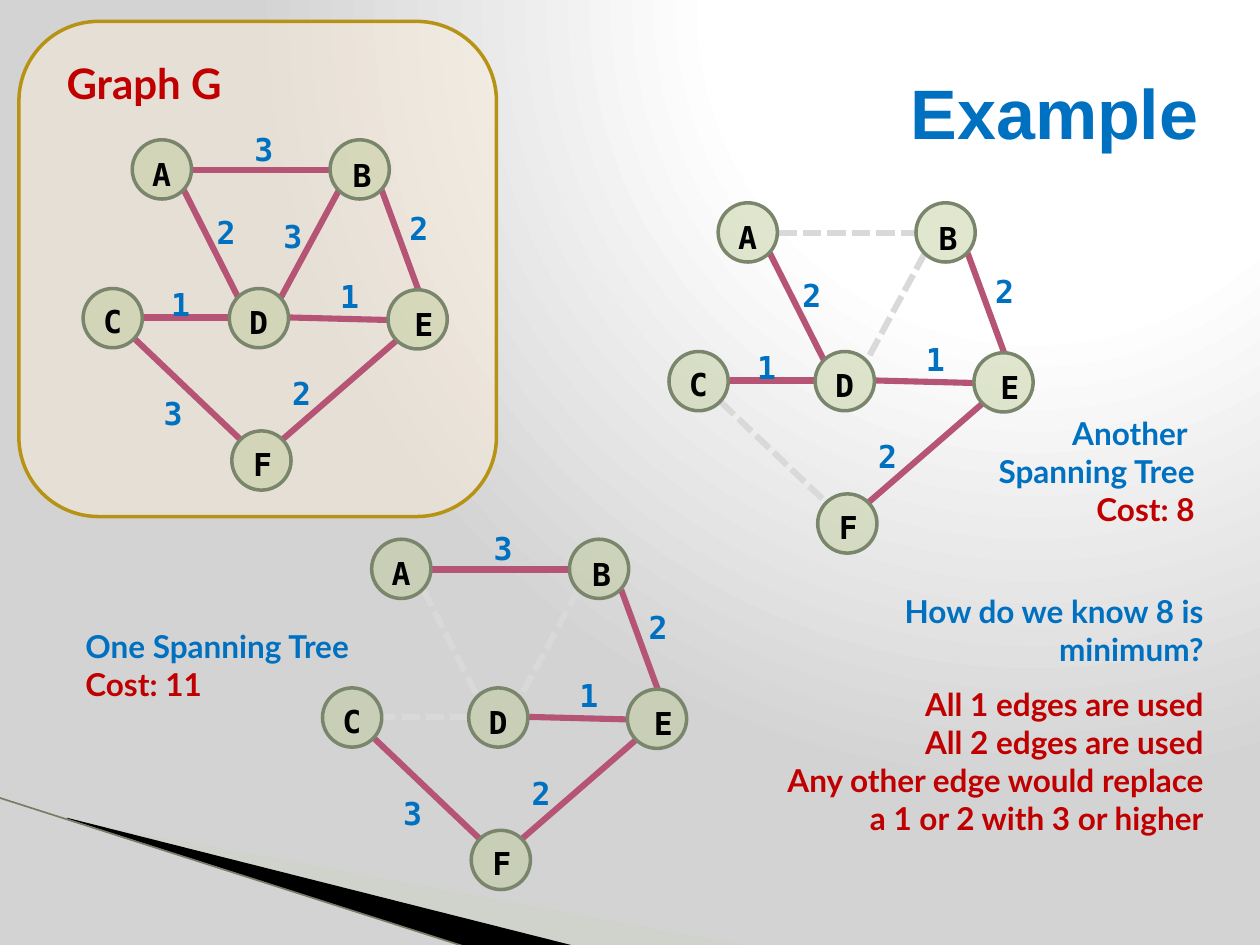
from lxml import etree
from pptx import Presentation
from pptx import util as u
from pptx.dml.color import RGBColor
from pptx.enum import dml, shapes, text
from pptx.oxml.ns import qn

BLUE, RED, BLACK = "0070C0", "C00000", "000000"
EDGE, UNUSED = "B55475", "D9D9D9"
MONO, SANS = "DejaVu Sans Mono", "Lato"
RIGHT = text.PP_ALIGN.RIGHT
NODE_SIZE = 0.47

# All graph positions are relative to the corner of node A.
# name: (node x, y, letter x, y, letter box width)
NODES = {
    "A": (0, 0, 0.06, 0.07, 0.41),
    "B": (1.57, 0, 1.65, 0.08, 0.41),
    "C": (-0.39, 1.18, -0.33, 1.24, 0.44),
    "D": (0.77, 1.18, 0.83, 1.25, 0.27),
    "E": (2.03, 1.19, 2.14, 1.26, 0.28),
    "F": (0.79, 2.31, 0.86, 2.37, 0.41),
}
# name: (x1, y1, x2, y2, weight, weight x, y)
EDGES = {
    "EF": (2.1, 1.59, 1.19, 2.38, 2, 1.17, 1.81),
    "CD": (0.77, 1.41, 0.09, 1.41, 1, 0.21, 1.1),
    "BD": (1.64, 0.4, 1.18, 1.25, 3, 1.1, 0.56),
    "AD": (0.41, 0.4, 0.84, 1.25, 2, 0.57, 0.53),
    "AB": (0.48, 0.24, 1.57, 0.24, 3, 0.87, -0.13),
    "BE": (1.98, 0.4, 2.27, 1.19, 2, 2.1, 0.5),
    "DE": (2.04, 1.43, 1.25, 1.41, 1, 1.55, 1.04),
    "CF": (0.02, 1.58, 0.86, 2.38, 3, 0.15, 1.97),
}


def rgb(color):
    return RGBColor.from_string(color)


def inches(*values):
    return [u.Inches(v) for v in values]


def fill_shape(sp, color, alpha=None):
    sp.shadow.inherit = False
    sp.fill.solid()
    sp.fill.fore_color.rgb = rgb(color)
    if alpha is not None:
        clr = sp.element.spPr.find(qn("a:solidFill"))[0]
        etree.SubElement(clr, qn("a:alpha")).set("val", str(alpha * 1000))


def add_preset(parent, kind, box, color, alpha, line):
    sp = parent.add_shape(kind, *inches(*box))
    fill_shape(sp, color, alpha)
    sp.line.color.rgb = rgb(line)
    sp.line.width = u.Pt(2)


def add_line(parent, ends, color, width=3.5, dashed=False):
    ln = parent.add_connector(shapes.MSO_CONNECTOR.STRAIGHT, *inches(*ends))
    ln.line.color.rgb = rgb(color)
    ln.line.width = u.Pt(width)
    if dashed:
        ln.line.dash_style = dml.MSO_LINE.SQUARE_DOT
    etree.SubElement(ln.element.spPr, qn("a:effectLst"))


def add_outline(parent, points, color, alpha=None):
    start, *rest = [inches(*pt) for pt in points]
    fb = parent.build_freeform(*start)
    fb.add_line_segments(rest)
    sp = fb.convert_to_shape()
    fill_shape(sp, color, alpha)
    sp.line.fill.background()


def format_run(r, color, size=18, font=SANS):
    r.font.name = font
    r.font.size = u.Pt(size)
    r.font.bold = True
    r.font.color.rgb = rgb(color)


def add_text(parent, box, lines, size=18, font=SANS, align=None, after=None):
    """Add a text box; lines holds (text, colour) pairs, one a paragraph."""
    tf = parent.add_textbox(*inches(*box)).text_frame
    tf.word_wrap = True
    tf.auto_size = text.MSO_AUTO_SIZE.SHAPE_TO_FIT_TEXT
    for i, (words, color) in enumerate(lines):
        p = tf.add_paragraph() if i else tf.paragraphs[0]
        p.alignment = align
        if after is not None:
            p.space_after = u.Pt(after)
        r = p.add_run()
        r.text = words
        format_run(r, color, size, font)


def add_symbol(parent, x, y, symbol, color, width=0.41):
    add_text(parent, (x, y, width, 0.4), [(symbol, color)], font=MONO, after=6)


def add_graph(parent, x, y, used):
    """Draw the graph with node A at x, y; edges not in used are dashed."""
    for name, (x1, y1, x2, y2, *_) in EDGES.items():
        kept = name in used
        add_line(parent, (x + x1, y + y1, x + x2, y + y2),
                 EDGE if kept else UNUSED, dashed=not kept)
    for name, (nx, ny, lx, ly, width) in NODES.items():
        add_preset(parent, shapes.MSO_SHAPE.OVAL,
                   (x + nx, y + ny, NODE_SIZE, NODE_SIZE), "BECB95", 45, "7A866C")
        add_symbol(parent, x + lx, y + ly, name, BLACK, width)
    for name in used:
        *_, weight, wx, wy = EDGES[name]
        add_symbol(parent, x + wx, y + wy, str(weight), BLUE)


def set_background(s):
    s.background.fill.gradient()
    grad = s.element.find(".//" + qn("a:gradFill"))
    for child in list(grad):
        grad.remove(child)
    stops = etree.SubElement(grad, qn("a:gsLst"))
    for pos, color in ((0, "FFFFFF"), (40, "FFFFFF"), (100, "D3D3D3")):
        gs = etree.SubElement(stops, qn("a:gs"), pos=str(pos * 1000))
        etree.SubElement(gs, qn("a:srgbClr"), val=color)
    circle = etree.SubElement(grad, qn("a:path"), path="circle")
    etree.SubElement(circle, qn("a:fillToRect"), l="65000", t="0", r="0", b="98000")


def add_swoosh(parent):
    add_outline(parent, [(0.55, 6.51), (5.95, 7.51), (4.56, 7.51), (0.55, 6.5)],
                "CBD4C0", 40)
    add_outline(parent, [(0.53, 6.49), (4.57, 7.51), (3.72, 7.52), (0.54, 6.5)], BLACK)
    add_line(parent, (-0.01, 6.33, 3.71, 7.52), "7A7A66", 0.95)


def set_title(s, words):
    sp = s.shapes.title
    sp.left, sp.top, sp.width, sp.height = inches(0.61, 0.26, 9, 1.25)
    tf = sp.text_frame
    tf.vertical_anchor = text.MSO_ANCHOR.MIDDLE
    p = tf.paragraphs[0]
    p.alignment = RIGHT
    r = p.add_run()
    r.text = words
    format_run(r, BLUE, 40, "Arial")


def main():
    prs = Presentation()
    prs.slide_width, prs.slide_height = inches(10, 7.5)
    s = prs.slides.add_slide(prs.slide_layouts[5])
    set_background(s)
    add_swoosh(s.shapes)
    set_title(s, "Example")

    add_graph(s.shapes.add_group_shape().shapes, 2.95, 4.28,
              ("AB", "EF", "DE", "BE", "CF"))
    add_text(s.shapes, (0.58, 4.93, 2.77, 0.71),
             [("One Spanning Tree", BLUE), ("Cost: 11", RED)])

    add_graph(s.shapes.add_group_shape().shapes, 5.7, 1.61,
              ("AD", "CD", "EF", "DE", "BE"))
    add_text(s.shapes, (7.11, 3.24, 2.47, 1.01),
             [("Another ", BLUE), ("Spanning Tree", BLUE), ("Cost: 8", RED)],
             align=RIGHT)
    add_text(s.shapes, (6.03, 4.65, 3.62, 0.71),
             [("How do we know 8 is minimum?", BLUE)], align=RIGHT)

    panel = s.shapes.add_group_shape().shapes
    add_preset(panel, shapes.MSO_SHAPE.ROUNDED_RECTANGLE,
               (0.15, 0.17, 3.79, 3.93), "FDEDDA", 47, "B79315")
    add_graph(panel, 1.05, 1.11, tuple(EDGES))
    add_text(panel, (0.43, 0.41, 1.8, 0.5), [("Graph G", RED)], size=24)

    reasons = ("All 1 edges are used", "All 2 edges are used",
               "Any other edge would replace a 1 or 2 with 3 or higher")
    add_text(s.shapes, (6.03, 5.39, 3.62, 1.62),
             [(reason, RED) for reason in reasons], align=RIGHT)
    prs.save("out.pptx")


if __name__ == "__main__":
    main()
